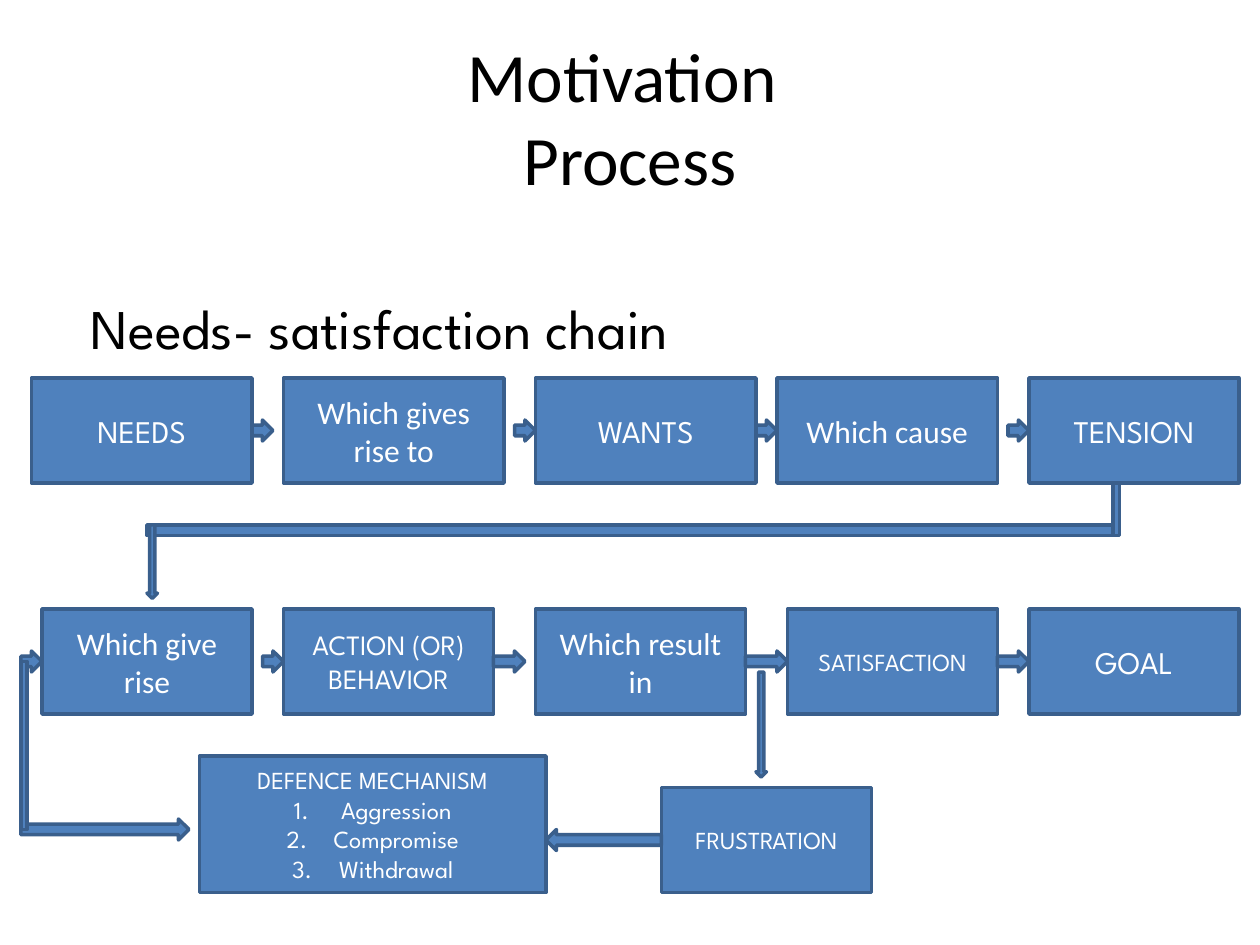
from lxml.etree import SubElement
from pptx import Presentation
from pptx.dml.color import RGBColor
from pptx.enum.shapes import MSO_SHAPE as Preset
from pptx.enum.text import MSO_ANCHOR as Anchor, PP_ALIGN as Align
from pptx.oxml.ns import qn
from pptx.util import Cm, Pt

BLUE = RGBColor(0x4F, 0x81, 0xBD)
DARK_BLUE = RGBColor(0x3A, 0x5F, 0x8C)
WHITE = RGBColor(0xFF, 0xFF, 0xFF)
BLACK = RGBColor(0x00, 0x00, 0x00)
PLAIN, DISPLAY = "Calibri", "League Spartan"

TITLE = ["Motivation ", "Process"]
SUBTITLE = "Needs- satisfaction chain"

# All positions and sizes count grid steps; twelve steps make 2.54 cm.
STEP = 2.54 / 12
BOX_HEIGHT, ARROW_HEIGHT = 10, 2

# Each row: top, then boxes as (left, width, text, font, size)
BOX_ROWS = [
    (36, [
        (3, 21, "NEEDS", DISPLAY, 18),
        (27, 21, "Which gives rise to", PLAIN, 18),
        (51, 21, "WANTS", DISPLAY, 18),
        (74, 21, "Which cause", PLAIN, 18),
        (98, 20, "TENSION", DISPLAY, 18),
    ]),
    (58, [
        (4, 20, "Which give rise", PLAIN, 18),
        (27, 20, "ACTION (OR) BEHAVIOR", DISPLAY, 16),
        (51, 20, "Which result in", PLAIN, 18),
        (75, 20, "SATISFACTION", DISPLAY, 14),
        (98, 20, "GOAL", DISPLAY, 18),
    ]),
    (75, [(63, 20, "FRUSTRATION", DISPLAY, 14)]),
]
DEFENCE_AREA = (19, 72, 33, 13)
DEFENCE_HEADING = "DEFENCE MECHANISM"
DEFENCES = ["Aggression", "Compromise", "Withdrawal"]

# Each row: top, then right arrows as (left, width)
ARROW_ROWS = [
    (40, [(24, 2), (49, 2), (72, 2), (96, 2)]),
    (62, [(2, 2), (25, 2), (47, 3), (71, 4), (95, 3)]),
    (78, [(2, 16)]),
]
# Bars and other arrows: preset, left, top, width, height
LINKS = [
    (Preset.RECTANGLE, 2, 63, 0.6, 16),
    (Preset.LEFT_ARROW, 52, 79, 11, 2),
    (Preset.DOWN_ARROW, 72, 64, 1, 10),
    (Preset.RECTANGLE, 106, 46, 0.6, 5),
    (Preset.RECTANGLE, 14, 50, 92, 1),
    (Preset.DOWN_ARROW, 14, 50, 1, 7),
]


def steps(*counts):
    return [Cm(count * STEP) for count in counts]


def add_run(paragraph, text, font, size, color):
    run = paragraph.add_run()
    run.text = text
    run.font.name = font
    run.font.size = Pt(size)
    run.font.color.rgb = color


def add_block(slide, preset, *area):
    shape = slide.shapes.add_shape(preset, *steps(*area))
    shape.shadow.inherit = False
    shape.fill.solid()
    shape.fill.fore_color.rgb = BLUE
    shape.line.color.rgb = DARK_BLUE
    shape.line.width = Pt(2)
    return shape


def add_box(slide, area, text, font, size):
    frame = add_block(slide, Preset.RECTANGLE, *area).text_frame
    frame.word_wrap = True
    frame.vertical_anchor = Anchor.MIDDLE
    paragraph = frame.paragraphs[0]
    paragraph.alignment = Align.CENTER
    add_run(paragraph, text, font, size, WHITE)
    return frame


def number(paragraph):
    properties = paragraph._p.get_or_add_pPr()
    indent = Cm(0.95)
    properties.set("marL", str(indent))
    properties.set("indent", str(-indent))
    SubElement(properties, qn("a:buFont"), typeface="+mj-lt")
    SubElement(properties, qn("a:buAutoNum"), type="arabicPeriod")


def add_title(slide):
    title = slide.shapes.title
    title.left, title.top, title.width, title.height = steps(6, 3.6, 108, 15)
    title.text_frame.vertical_anchor = Anchor.MIDDLE
    paragraph = title.text_frame.paragraphs[0]
    paragraph.alignment = Align.CENTER
    for index, line in enumerate(TITLE):
        if index:
            paragraph.add_line_break()
        add_run(paragraph, line, PLAIN, 39.6, BLACK)


def add_subtitle(slide):
    frame = slide.shapes.add_textbox(*steps(3, 21, 114, 64)).text_frame
    frame.word_wrap = True
    frame.margin_left, frame.margin_top = Cm(1.2), Cm(1.48)
    add_run(frame.paragraphs[0], SUBTITLE, DISPLAY, 32, BLACK)


def add_defence_box(slide):
    frame = add_box(slide, DEFENCE_AREA, DEFENCE_HEADING, DISPLAY, 14)
    for defence in DEFENCES:
        paragraph = frame.add_paragraph()
        paragraph.alignment = Align.CENTER
        number(paragraph)
        add_run(paragraph, defence, DISPLAY, 14, WHITE)


def main():
    presentation = Presentation()
    presentation.slide_width, presentation.slide_height = Cm(25.4), Cm(19.05)
    slide = presentation.slides.add_slide(presentation.slide_layouts[5])
    add_title(slide)
    add_subtitle(slide)
    for top, boxes in BOX_ROWS:
        for left, width, *content in boxes:
            add_box(slide, (left, top, width, BOX_HEIGHT), *content)
    add_defence_box(slide)
    for top, arrows in ARROW_ROWS:
        for left, width in arrows:
            add_block(slide, Preset.RIGHT_ARROW, left, top, width, ARROW_HEIGHT)
    for link in LINKS:
        add_block(slide, *link)
    presentation.save("out.pptx")


if __name__ == "__main__":
    main()
